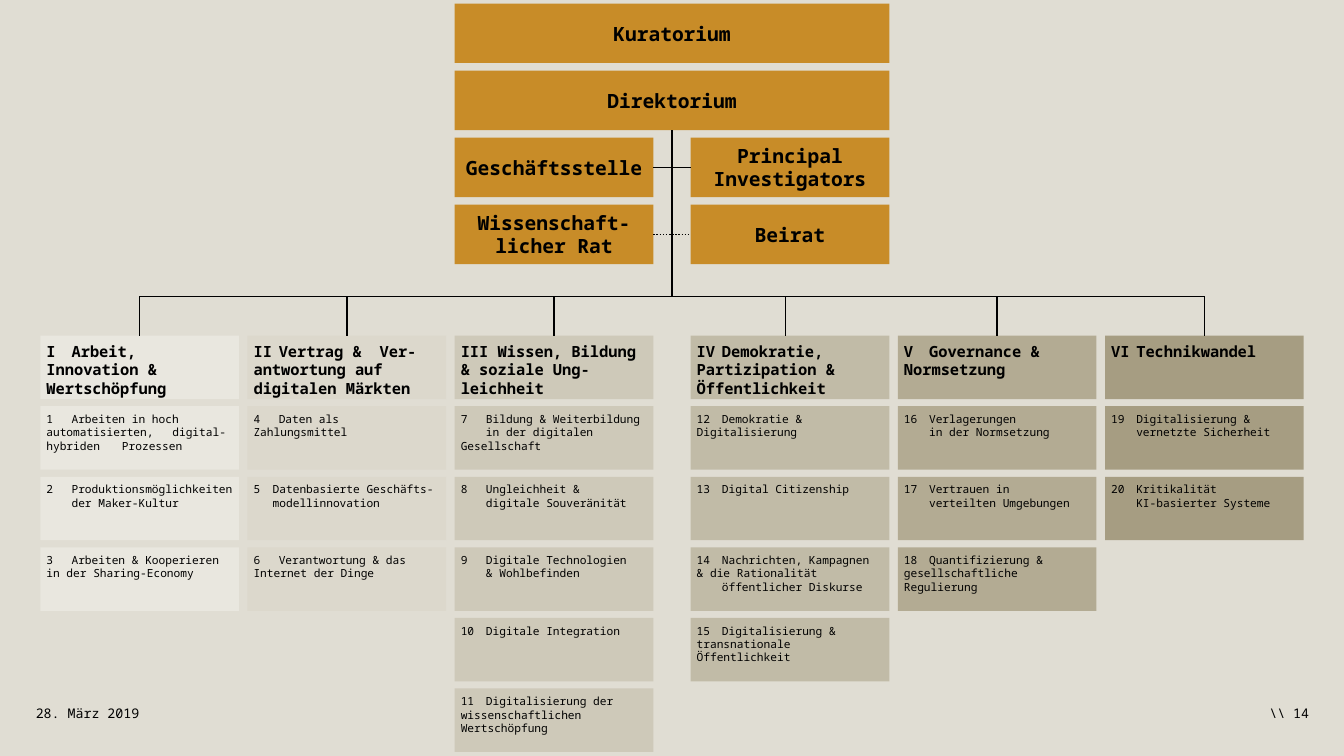
from lxml import etree
from pptx import Presentation
from pptx.dml.color import RGBColor
from pptx.enum.dml import MSO_LINE
from pptx.enum.shapes import MSO_CONNECTOR, MSO_SHAPE
from pptx.enum.text import MSO_ANCHOR, PP_ALIGN
from pptx.oxml.ns import qn
from pptx.util import Inches, Pt

RECTANGLE = MSO_SHAPE.RECTANGLE
STRAIGHT = MSO_CONNECTOR.STRAIGHT
DOTTED = MSO_LINE.ROUND_DOT
TOP, MIDDLE, BOTTOM = MSO_ANCHOR.TOP, MSO_ANCHOR.MIDDLE, MSO_ANCHOR.BOTTOM
LEFT, CENTER, RIGHT = PP_ALIGN.LEFT, PP_ALIGN.CENTER, PP_ALIGN.RIGHT

FONT = "Noto Sans Mono"
BLACK, OCHRE, BACKGROUND = "000000", "C88C28", "E0DDD3"

BOX_WIDTH, COLUMN_PITCH = 3.94, 4.11
CARD_HEIGHT, CARD_PITCH = 1.26, 1.4
BODY_HEIGHT, BODY_PITCH = 1.18, 1.33
LEFT_START, RIGHT_START = 0.8, 13.7
TOP_LEFT, TOP_EDGE = 9.02, 0.07
TRUNK_X, BUS_Y, AREAS_TOP = 13.33, 5.88, 6.66

# Fill, distance of the stem from the column's left edge, heading, groups
AREAS = [
    ("E9E7DF", 1.97, "I\tArbeit, \tInnovation & \tWertschöpfung", [
        "1\tArbeiten in hoch \tautomatisierten, \tdigital-hybriden \tProzessen",
        "2\tProduktionsmöglichkeiten \tder Maker-Kultur",
        "3\tArbeiten & Kooperieren \tin der Sharing-Economy"]),
    ("DCD8CC", 1.97, "II\tVertrag & \tVer-\tantwortung auf \tdigitalen Märkten", [
        "4\tDaten als \tZahlungsmittel",
        (5, "Datenbasierte Geschäfts-modellinnovation"),
        "6\tVerantwortung & das \tInternet der Dinge"]),
    ("CEC9B9", 1.97, "III Wissen, Bildung \t& soziale Ung-\tleichheit", [
        "7\tBildung & Weiterbildung\n\tin der digitalen \tGesellschaft",
        "8\tUngleichheit &\n\tdigitale Souveränität",
        "9\tDigitale Technologien\n\t& Wohlbefinden",
        "10\tDigitale Integration",
        "11\tDigitalisierung der \twissenschaftlichen \tWertschöpfung"]),
    ("C1BBA7", 1.88, "IV\tDemokratie, \tPartizipation & \tÖffentlichkeit", [
        "12\tDemokratie & \tDigitalisierung",
        "13\tDigital Citizenship",
        "14\tNachrichten, Kampagnen \t& die Rationalität\n\töffentlicher Diskurse",
        "15\tDigitalisierung & \ttransnationale \tÖffentlichkeit"]),
    ("B3AB93", 1.97, "V\tGovernance & \tNormsetzung", [
        "16\tVerlagerungen\n\tin der Normsetzung",
        "17\tVertrauen in\n\tverteilten Umgebungen",
        "18\tQuantifizierung & \tgesellschaftliche \tRegulierung"]),
    ("A69D82", 1.97, "VI\tTechnikwandel", [
        "19\tDigitalisierung &\n\tvernetzte Sicherheit",
        "20\tKritikalität\n\tKI-basierter Systeme"]),
]


def color(value):
    return RGBColor.from_string(value)


def write(shape, text, size, bold=False, align=LEFT, anchor=TOP, inset=0):
    """Fill a shape with one paragraph per line of text."""
    frame = shape.text_frame
    frame.word_wrap = True
    frame.vertical_anchor = anchor
    frame.margin_left = frame.margin_top = Inches(inset)
    frame.margin_right = frame.margin_bottom = 0
    for index, line in enumerate(text.split("\n")):
        paragraph = frame.add_paragraph() if index else frame.paragraphs[0]
        paragraph.alignment = align
        run = paragraph.add_run()
        run.text = line
        run.font.name = FONT
        run.font.size = Pt(size)
        run.font.bold = bold
        run.font.color.rgb = color(BLACK)


def number_paragraph(paragraph, start):
    properties = paragraph._p.get_or_add_pPr()
    properties.set("marL", str(Inches(0.38)))
    properties.set("indent", str(-Inches(0.38)))
    numbering = etree.SubElement(properties, qn("a:buAutoNum"))
    numbering.set("type", "arabicPlain")
    numbering.set("startAt", str(start))


def add_box(slide, left, top, width, height, fill):
    box = slide.shapes.add_shape(
        RECTANGLE, Inches(left), Inches(top), Inches(width), Inches(height))
    box.shadow.inherit = False
    box.fill.solid()
    box.fill.fore_color.rgb = color(fill)
    box.line.fill.background()
    return box


def add_line(slide, x1, y1, x2, y2, dash=None):
    line = slide.shapes.add_connector(
        STRAIGHT, Inches(x1), Inches(y1), Inches(x2), Inches(y2))
    line.line.color.rgb = color(BLACK)
    line.line.width = Pt(2.25)
    if dash:
        line.line.dash_style = dash
    etree.SubElement(line._element.spPr, qn("a:effectLst"))


def add_governing_bodies(slide, left, top):
    right = RIGHT_START
    full_width = right + BOX_WIDTH - left
    bodies = [
        ("Kuratorium", left, 0, full_width),
        ("Direktorium", left, 1, full_width),
        ("Geschäftsstelle", left, 2, BOX_WIDTH),
        ("Wissenschaft-licher Rat", left, 3, BOX_WIDTH),
        ("Principal Investigators", right, 2, BOX_WIDTH),
        ("Beirat", right, 3, BOX_WIDTH),
    ]
    for name, x, row, width in bodies:
        box = add_box(slide, x, top + row * BODY_PITCH, width, BODY_HEIGHT, OCHRE)
        write(box, name, 28, bold=True, align=CENTER, anchor=MIDDLE)

    add_line(slide, TRUNK_X, top + BODY_PITCH + BODY_HEIGHT, TRUNK_X, BUS_Y)
    for row, dash in ((2, None), (3, DOTTED)):
        y = top + row * BODY_PITCH + BODY_HEIGHT / 2
        add_line(slide, left + BOX_WIDTH, y, right, y, dash)


def add_area(slide, left, top, fill, heading, groups):
    """Stack a research area's heading and its groups."""
    box = add_box(slide, left, top, BOX_WIDTH, CARD_HEIGHT, fill)
    write(box, heading, 22, bold=True, inset=0.12)
    for row, group in enumerate(groups, start=1):
        box = add_box(slide, left, top + row * CARD_PITCH, BOX_WIDTH, CARD_HEIGHT, fill)
        if isinstance(group, tuple):
            number, text = group
            write(box, text, 16, inset=0.12)
            number_paragraph(box.text_frame.paragraphs[0], number)
        else:
            write(box, group, 16, inset=0.12)


def add_research_areas(slide, top):
    stems = []
    for index, (fill, stem, heading, groups) in enumerate(AREAS):
        side, column = divmod(index, 3)
        left = (LEFT_START, RIGHT_START)[side] + column * COLUMN_PITCH
        add_area(slide, left, top, fill, heading, groups)
        stems.append(left + stem)
    add_line(slide, stems[0], BUS_Y, stems[-1], BUS_Y)
    for x in stems:
        add_line(slide, x, BUS_Y, x, top)


def add_footer(slide, top):
    for text, left, width, align in (
            ("28. März 2019", 0.71, 2.29, LEFT), ("\\\\ 14", 24, 1.97, RIGHT)):
        box = slide.shapes.add_textbox(
            Inches(left), Inches(top), Inches(width), Inches(0.8))
        write(box, text, 19, align=align, anchor=BOTTOM)


def main():
    presentation = Presentation()
    presentation.slide_width = Inches(26.66)
    presentation.slide_height = Inches(15)
    blank_layout = presentation.slide_layouts[6]
    slide = presentation.slides.add_slide(blank_layout)
    slide.background.fill.solid()
    slide.background.fill.fore_color.rgb = color(BACKGROUND)

    add_footer(slide, 13.5)
    add_research_areas(slide, AREAS_TOP)
    add_governing_bodies(slide, TOP_LEFT, TOP_EDGE)
    presentation.save("out.pptx")


if __name__ == "__main__":
    main()
